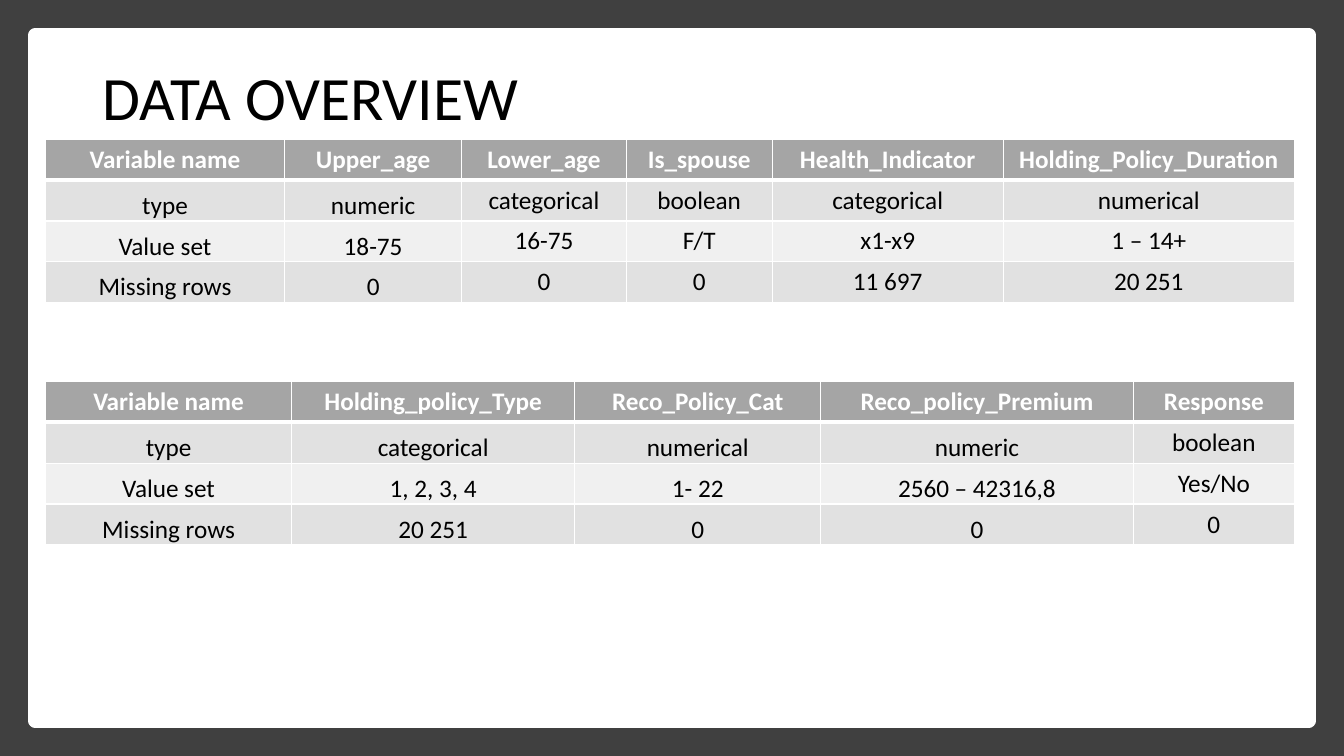
from dataclasses import dataclass

from lxml import etree
from pptx import Presentation
from pptx.dml.color import RGBColor
from pptx.enum.shapes import MSO_SHAPE
from pptx.enum.text import MSO_ANCHOR, PP_ALIGN
from pptx.oxml.ns import qn
from pptx.slide import Slide
from pptx.table import _Cell
from pptx.util import Pt

RECTANGLE = MSO_SHAPE.RECTANGLE
CENTER, LEFT = PP_ALIGN.CENTER, PP_ALIGN.LEFT
MIDDLE, BOTTOM = MSO_ANCHOR.MIDDLE, MSO_ANCHOR.BOTTOM

WHITE = RGBColor(0xFF, 0xFF, 0xFF)
BLACK = RGBColor(0x00, 0x00, 0x00)
FRAME = RGBColor(0x40, 0x40, 0x40)
HEADER = RGBColor(0xA5, 0xA5, 0xA5)
BAND_DARK = RGBColor(0xE1, 0xE1, 0xE1)
BAND_LIGHT = RGBColor(0xF0, 0xF0, 0xF0)

FONT = "Calibri"
SLIDE_W, SLIDE_H = 960, 540
FRAME_W = 25.2
TABLE_LEFT = 32.6
ROW_H = 29.2
TIGHT_INSET = 0.75


@dataclass
class VariableTable:
    """Columns before tight_cols have bottom-aligned body text."""
    top: float
    widths: list[float]
    rows: list[list[str]]
    tight_cols: int


TABLES = [
    VariableTable(99.4, [170.6, 126.7, 117.4, 104.4, 164.9, 208.1], [
        ["Variable name", "Upper_age", "Lower_age", "Is_spouse",
         "Health_Indicator", "Holding_Policy_Duration"],
        ["type", "numeric", "categorical", "boolean", "categorical", "numerical"],
        ["Value set", "18-75", "16-75", "F/T", "x1-x9", "1 – 14+"],
        ["Missing rows", "0", "0", "0", "11 697", "20 251"],
    ], tight_cols=2),
    VariableTable(272.4, [175.7, 202.3, 175.7, 223.2, 115.2], [
        ["Variable name", "Holding_policy_Type", "Reco_Policy_Cat",
         "Reco_policy_Premium", "Response"],
        ["type", "categorical", "numerical", "numeric", "boolean"],
        ["Value set", "1, 2, 3, 4", "1- 22", "2560 – 42316,8", "Yes/No"],
        ["Missing rows", "20 251", "0", "0", "0"],
    ], tight_cols=4),
]


def add_panel(slide: Slide, margin: float, color: RGBColor) -> None:
    """Draw a plain rectangle at an equal distance from all slide edges."""
    sp = slide.shapes.add_shape(
        RECTANGLE, Pt(margin), Pt(margin),
        Pt(SLIDE_W - 2 * margin), Pt(SLIDE_H - 2 * margin))
    sp.shadow.inherit = False
    sp.fill.solid()
    sp.fill.fore_color.rgb = color
    if margin:
        sp.line.color.rgb = color
        sp.line.width = Pt(10)
    else:
        sp.line.fill.background()


def place_title(slide: Slide, text: str) -> None:
    title = slide.shapes.title
    title.left, title.top = Pt(66), Pt(19.6)
    title.width, title.height = Pt(828), Pt(104.4)
    tf = title.text_frame
    tf.text = text
    tf.vertical_anchor = MIDDLE
    p = tf.paragraphs[0]
    p.alignment = LEFT
    p.line_spacing = 0.9
    font = p.runs[0].font
    font.name, font.size, font.color.rgb = FONT, Pt(44), BLACK
    title.element.getparent().append(title.element)  # above the panels


def set_borders(cell: _Cell, bottom_width: float) -> None:
    tc_pr = cell._tc.get_or_add_tcPr()
    widths = {"a:lnL": 1, "a:lnR": 1, "a:lnT": 1, "a:lnB": bottom_width}
    for side, width in widths.items():
        ln = etree.SubElement(tc_pr, qn(side), w=str(Pt(width)))
        fill = etree.SubElement(ln, qn("a:solidFill"))
        etree.SubElement(fill, qn("a:srgbClr"), val=str(WHITE))


def format_cell(cell: _Cell, text: str, row: int, tight: bool) -> None:
    is_header = row == 0
    set_borders(cell, 3 if is_header else 1)
    cell.fill.solid()
    cell.fill.fore_color.rgb = (
        HEADER if is_header else BAND_DARK if row % 2 else BAND_LIGHT)
    if tight and not is_header:
        cell.vertical_anchor = BOTTOM
        cell.margin_left = cell.margin_right = cell.margin_top = Pt(TIGHT_INSET)
        cell.margin_bottom = Pt(0)
    cell.text_frame.text = text
    p = cell.text_frame.paragraphs[0]
    p.alignment = CENTER
    font = p.runs[0].font
    font.name, font.size, font.bold = FONT, Pt(18), is_header
    font.color.rgb = WHITE if is_header else BLACK


def add_variable_table(slide: Slide, spec_table: VariableTable) -> None:
    rows, widths = spec_table.rows, spec_table.widths
    table = slide.shapes.add_table(
        len(rows), len(widths), Pt(TABLE_LEFT), Pt(spec_table.top),
        Pt(sum(widths)), Pt(ROW_H * len(rows))).table
    for column, width in zip(table.columns, widths):
        column.width = Pt(width)
    for r, texts in enumerate(rows):
        table.rows[r].height = Pt(ROW_H)
        for c, text in enumerate(texts):
            format_cell(table.cell(r, c), text, r, c < spec_table.tight_cols)


def main() -> None:
    prs = Presentation()
    prs.slide_width, prs.slide_height = Pt(SLIDE_W), Pt(SLIDE_H)
    slide = prs.slides.add_slide(prs.slide_layouts.get_by_name("Title Only"))
    add_panel(slide, 0, FRAME)
    add_panel(slide, FRAME_W, WHITE)
    place_title(slide, "DATA OVERVIEW")
    for variable_table in TABLES:
        add_variable_table(slide, variable_table)
    prs.save("out.pptx")


if __name__ == "__main__":
    main()
